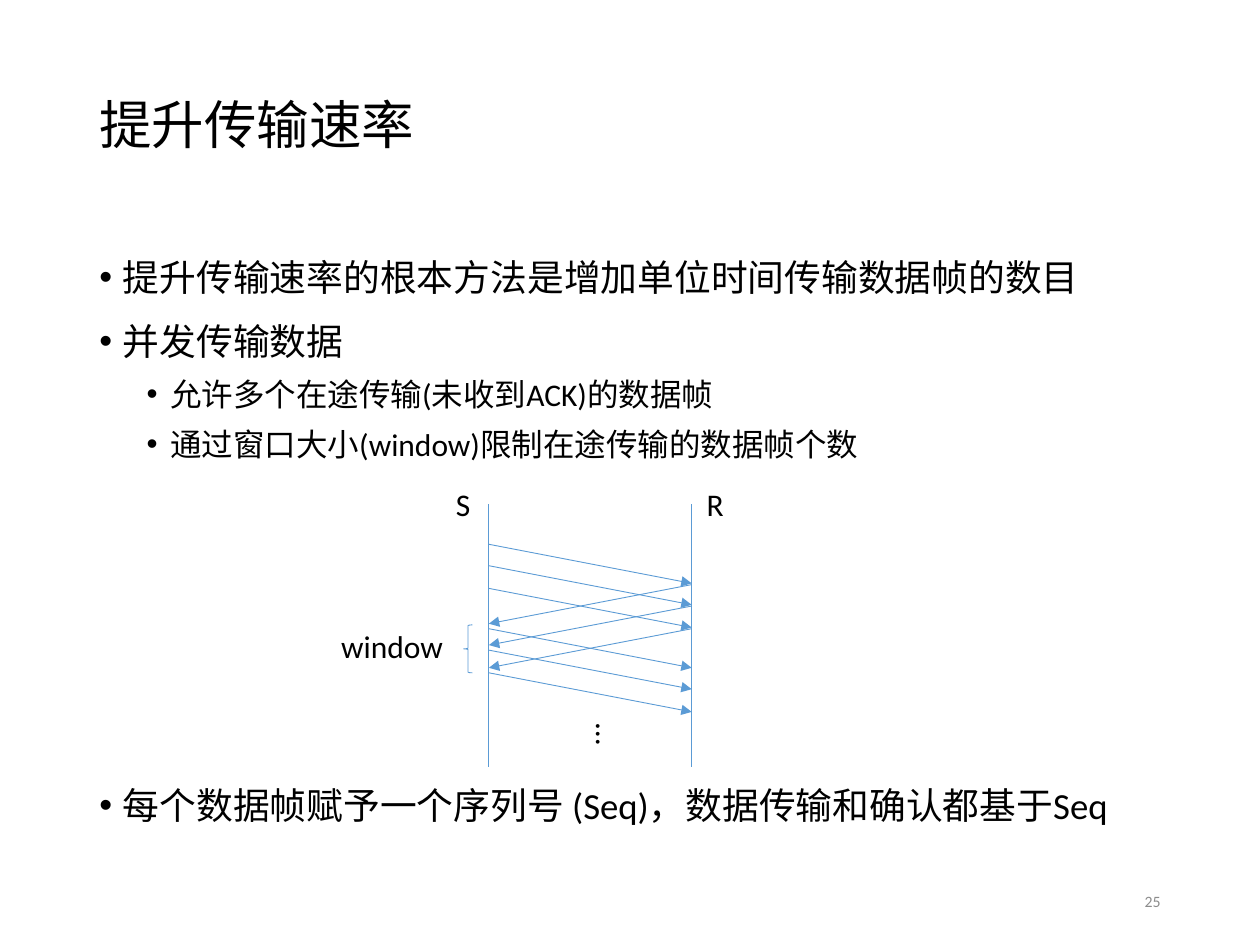
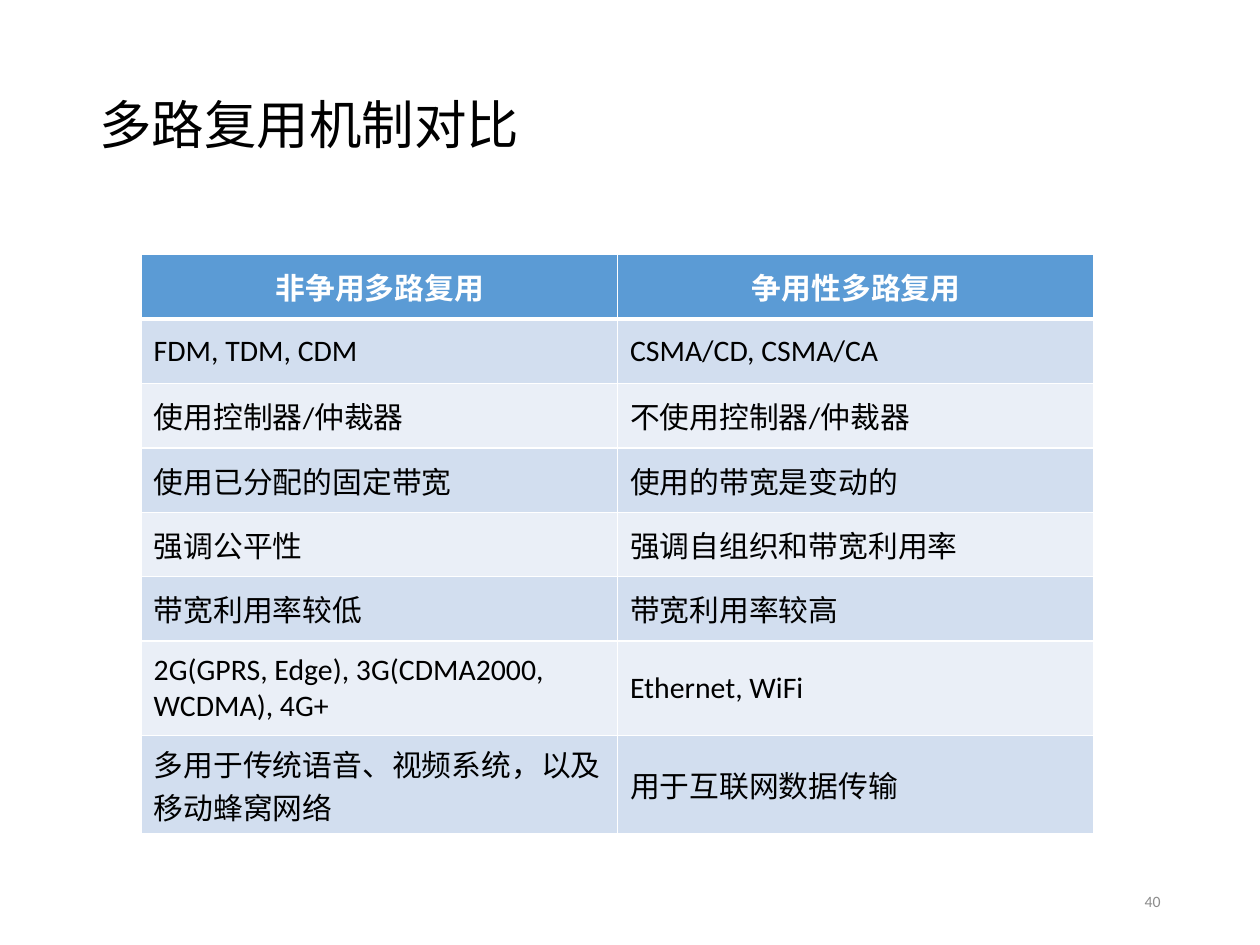
from collections import namedtuple
from dataclasses import dataclass

from lxml.etree import SubElement
from pptx import Presentation
from pptx.dml.color import RGBColor
from pptx.enum.shapes import MSO_CONNECTOR as Connector, MSO_SHAPE as Preset
from pptx.enum.text import MSO_ANCHOR as Anchor, PP_ALIGN as Align
from pptx.oxml.ns import qn
from pptx.util import Inches, Pt

Box = namedtuple("Box", "left top width height")


@dataclass(frozen=True)
class Theme:
    font: str = "Calibri"
    ink: str = "000000"
    paper: str = "FFFFFF"
    accent: str = "5B9BD5"
    bands: tuple = ("D2DEEF", "EAEFF7")
    muted: str = "8C8C8C"
    title_size: float = 30
    level_sizes: tuple = (21, 18)
    label_size: float = 18
    table_size: float = 17
    number_size: float = 9
    line_width: float = 0.5
    border_width: float = 1
    header_border_width: float = 3


THEME = Theme()
TITLE_BOX = Box(0.69, 0.4, 8.62, 1.23)
NUMBER_BOX = Box(7.06, 6.95, 2.25, 0.4)
HANGING = 3 / 16
LEVEL_INDENTS = (HANGING, 3 * HANGING)
LEVEL_SPACES = (7.5, 3.8)
TALL_ROWS = (0.75, 0.78)

PARALLEL_POINTS = [
    (0, "提升传输速率的根本方法是增加单位时间传输数据帧的数目"),
    (0, "并发传输数据"),
    (1, "允许多个在途传输(未收到ACK)的数据帧"),
    (1, "通过窗口大小(window)限制在途传输的数据帧个数"),
]
SEQUENCE_POINTS = [(0, "每个数据帧赋予一个序列号 (Seq)，数据传输和确认都基于Seq")]
MULTIPLEXING_ROWS = [
    ("非争用多路复用", "争用性多路复用"),
    ("FDM, TDM, CDM", "CSMA/CD, CSMA/CA"),
    ("使用控制器/仲裁器", "不使用控制器/仲裁器"),
    ("使用已分配的固定带宽", "使用的带宽是变动的"),
    ("强调公平性", "强调自组织和带宽利用率"),
    ("带宽利用率较低", "带宽利用率较高"),
    ("2G(GPRS, Edge), 3G(CDMA2000, WCDMA), 4G+", "Ethernet, WiFi"),
    ("多用于传统语音、视频系统，以及移动蜂窝网络", "用于互联网数据传输"),
]


def apply(target, values):
    for name, value in values.items():
        setattr(target, name, value)


def inches(values):
    return [Inches(round(value, 2)) for value in values]


def write(paragraph, text, size, color=THEME.ink, bold=False, **layout):
    apply(paragraph, layout)
    run = paragraph.add_run()
    run.text = text
    apply(run.font, {"name": THEME.font, "size": Pt(size), "bold": bold})
    run.font.color.rgb = RGBColor.from_string(color)


def add_frame(slide, box, **layout):
    frame = slide.shapes.add_textbox(*inches(box)).text_frame
    apply(frame, {"word_wrap": True, **layout})
    return frame


def add_title(slide, box, text):
    frame = add_frame(slide, box, vertical_anchor=Anchor.MIDDLE)
    write(frame.paragraphs[0], text, THEME.title_size, line_spacing=0.9)


def add_number(slide, box, number):
    frame = add_frame(slide, box, vertical_anchor=Anchor.MIDDLE)
    write(frame.paragraphs[0], str(number), THEME.number_size, THEME.muted,
          alignment=Align.RIGHT)


def add_bullets(slide, box, points):
    frame = add_frame(slide, box)
    for index, (level, text) in enumerate(points):
        paragraph = frame.add_paragraph() if index else frame.paragraphs[0]
        properties = paragraph._p.get_or_add_pPr()
        properties.set("marL", str(Inches(LEVEL_INDENTS[level])))
        properties.set("indent", str(-Inches(HANGING)))
        SubElement(properties, qn("a:buFont"), typeface="Arial")
        SubElement(properties, qn("a:buChar"), char="•")
        space = LEVEL_SPACES[level] if index else 0
        write(paragraph, text, THEME.level_sizes[level], level=level,
              line_spacing=1.15, space_before=Pt(space))


def add_label(slide, box, text, vertical=False):
    frame = add_frame(slide, box, word_wrap=False)
    if vertical:
        frame._txBody.bodyPr.set("vert", "eaVert")
    write(frame.paragraphs[0], text, THEME.label_size)


def style_line(shape):
    shape.line.color.rgb = RGBColor.from_string(THEME.accent)
    shape.line.width = Pt(THEME.line_width)


def add_line(slide, start, end, arrow=False):
    connector = slide.shapes.add_connector(
        Connector.STRAIGHT, *inches(start + end))
    style_line(connector)
    if arrow:
        SubElement(connector.line._get_or_add_ln(), qn("a:tailEnd"), type="triangle")
    SubElement(connector._element.spPr, qn("a:effectLst"))


def add_window_diagram(slide, box):
    sender = box.left + 1.27
    receiver = box.left + 2.88
    bottom = box.top + box.height
    for lifeline in (sender, receiver):
        add_line(slide, (lifeline, box.top + 0.2), (lifeline, bottom))

    travel, reply, resend = 0.31, 0.32, 0.67
    for offset in (0.52, 0.69, 0.87):
        sent = box.top + offset
        for start in (sent, sent + resend):
            add_line(slide, (sender, start), (receiver, start + travel), arrow=True)
        add_line(slide, (receiver, sent + reply),
                 (sender, sent + reply + travel), arrow=True)

    add_label(slide, Box(sender - 0.36, box.top, 0.32, 0.4), "S")
    add_label(slide, Box(receiver + 0.02, box.top, 0.34, 0.4), "R")
    add_label(slide, Box(box.left, box.top + 1.13, 1.02, 0.4), "window")
    add_label(slide, Box(box.left + 1.92, box.top + 1.84, 0.5, 0.27), "…", vertical=True)

    brace = slide.shapes.add_shape(
        Preset.LEFT_BRACE, *inches((sender - 0.2, box.top + 1.16, 0.07, 0.38)))
    brace.shadow.inherit = False
    brace.fill.background()
    style_line(brace)


def add_header_borders(cell):
    properties = cell._tc.get_or_add_tcPr()
    for edge in ("lnL", "lnR", "lnT", "lnB"):
        width = THEME.header_border_width if edge == "lnB" else THEME.border_width
        border = SubElement(properties, qn(f"a:{edge}"), w=str(Pt(width)))
        fill = SubElement(border, qn("a:solidFill"))
        SubElement(fill, qn("a:srgbClr"), val=THEME.paper)


def style_cell(cell, color):
    cell.fill.solid()
    cell.fill.fore_color.rgb = RGBColor.from_string(color)
    apply(cell, {"vertical_anchor": Anchor.MIDDLE,
                 "margin_left": Inches(0.1), "margin_right": Inches(0.09),
                 "margin_top": Inches(0.05), "margin_bottom": Inches(0.05)})


def add_comparison_table(slide, box, rows):
    column_count = len(rows[0])
    table = slide.shapes.add_table(len(rows), column_count, *inches(box)).table
    for column in table.columns:
        column.width = Inches(box.width / column_count)
    short_count = len(rows) - len(TALL_ROWS)
    short_height = (box.height - sum(TALL_ROWS)) / short_count
    heights = [short_height] * short_count + list(TALL_ROWS)
    for row, (texts, height) in enumerate(zip(rows, heights)):
        table.rows[row].height = Inches(height)
        header = row == 0
        color = THEME.accent if header else THEME.bands[(row - 1) % 2]
        for column, text in enumerate(texts):
            cell = table.cell(row, column)
            if header:
                add_header_borders(cell)
            style_cell(cell, color)
            write(cell.text_frame.paragraphs[0], text, THEME.table_size,
                  THEME.paper if header else THEME.ink, header,
                  alignment=Align.CENTER if header else Align.LEFT)


def add_base_slide(presentation, title, number):
    slide = presentation.slides.add_slide(presentation.slide_layouts[6])
    add_title(slide, TITLE_BOX, title)
    add_number(slide, NUMBER_BOX, number)
    return slide


def build_speed_slide(presentation):
    slide = add_base_slide(presentation, "提升传输速率", 25)
    add_bullets(slide, Box(TITLE_BOX.left, 1.92, TITLE_BOX.width, 1.85), PARALLEL_POINTS)
    add_window_diagram(slide, Box(2.61, 3.8, 3.24, 2.29))
    add_bullets(slide, Box(TITLE_BOX.left, 6.11, TITLE_BOX.width, 0.6), SEQUENCE_POINTS)


def build_comparison_slide(presentation):
    slide = add_base_slide(presentation, "多路复用机制对比", 40)
    add_comparison_table(slide, Box(1.12, 2.02, 7.56, 4.6), MULTIPLEXING_ROWS)


def main():
    presentation = Presentation()
    apply(presentation, {"slide_width": Inches(10), "slide_height": Inches(7.5)})
    build_speed_slide(presentation)
    build_comparison_slide(presentation)
    presentation.save("out.pptx")


if __name__ == "__main__":
    main()
